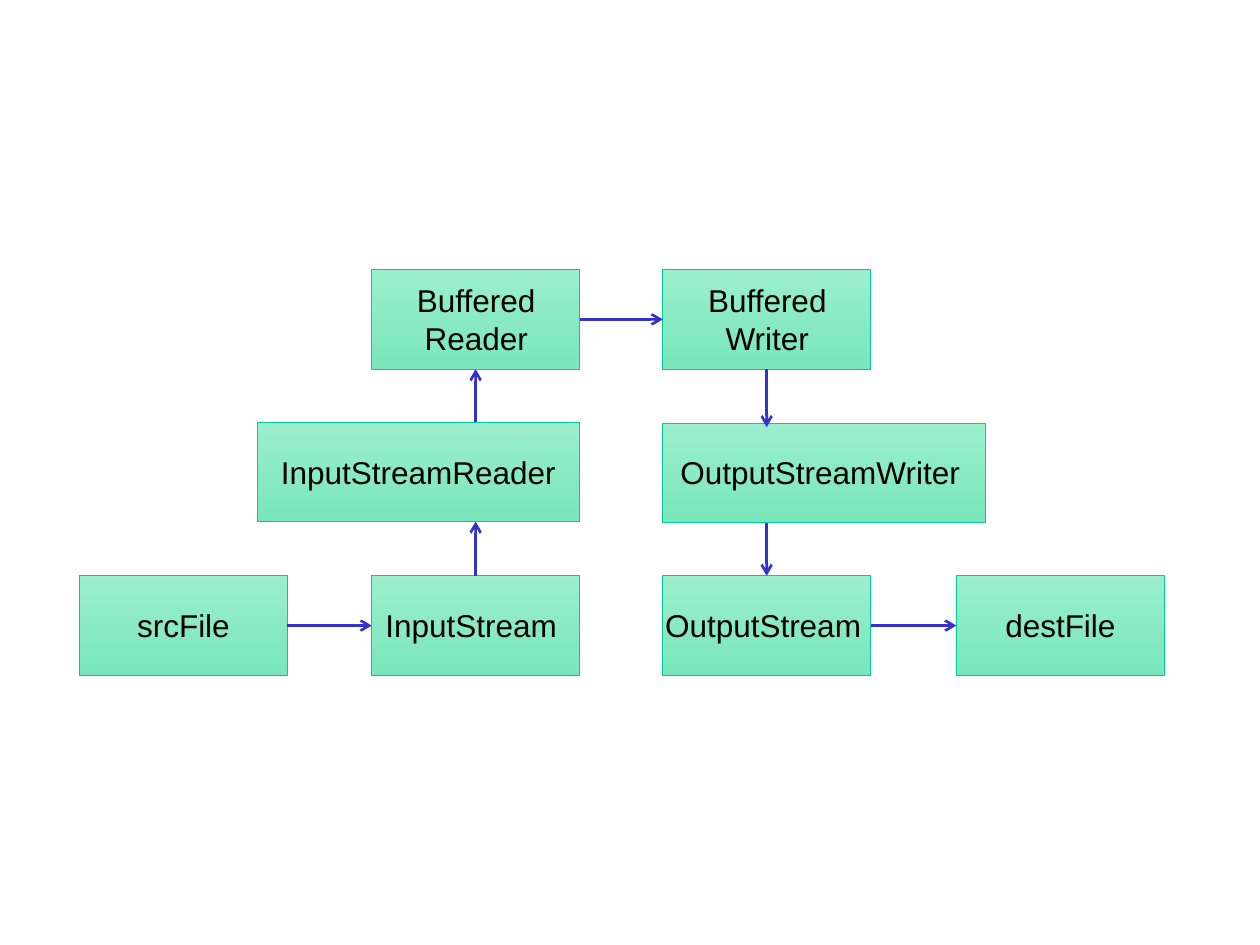
import pptx
import pptx.dml.color
import pptx.enum.shapes
import pptx.enum.text
import pptx.oxml
import pptx.oxml.ns
import pptx.util

Inches = pptx.util.Inches
Pt = pptx.util.Pt
CENTER = pptx.enum.text.PP_ALIGN.CENTER
LEFT = pptx.enum.text.PP_ALIGN.LEFT


def color(hex_string):
    return pptx.dml.color.RGBColor.from_string(hex_string)


class FlowSlide:
    font, size, ink = "Arial", 18, "000000"
    gradient, outline, arrow_color = ("9BEFCC", "79E6BB"), "00CC99", "3333CC"
    box_height = 0.79

    def __init__(self, slide):
        self.slide = slide

    def box(self, left, top, width):
        box = self.slide.shapes.add_shape(
            pptx.enum.shapes.MSO_SHAPE.RECTANGLE,
            Inches(left), Inches(top), Inches(width), Inches(self.box_height))
        box.shadow.inherit = False
        box.fill.gradient()
        box.fill.gradient_angle = 270
        for position, (stop, shade) in enumerate(zip(box.fill.gradient_stops, self.gradient)):
            stop.position = position
            stop.color.rgb = color(shade)
        box.line.color.rgb = color(self.outline)
        box.line.width = Pt(0.5)
        return box

    def label(self, lines, left, top, width, align, wrap):
        height = 0.1 + 0.3 * len(lines)
        label = self.slide.shapes.add_textbox(
            Inches(left), Inches(top), Inches(width), Inches(height))
        frame = label.text_frame
        frame.word_wrap = wrap
        frame.auto_size = pptx.enum.text.MSO_AUTO_SIZE.SHAPE_TO_FIT_TEXT
        for index, line in enumerate(lines):
            paragraph = frame.add_paragraph() if index else frame.paragraphs[0]
            paragraph.alignment = align
            run = paragraph.add_run()
            run.text = line
            run.font.name = self.font
            run.font.size = Pt(self.size)
            run.font.color.rgb = color(self.ink)

    def arrow(self, start, end):
        """Each end is a (box, side) pair to join, or an (x, y) point in inches."""
        arrow = self.slide.shapes.add_connector(
            pptx.enum.shapes.MSO_CONNECTOR.STRAIGHT, 0, 0, 0, 0)
        if isinstance(start[0], float):
            arrow.begin_x, arrow.begin_y = map(Inches, start)
        else:
            arrow.begin_connect(*start)
        if isinstance(end[0], float):
            arrow.end_x, arrow.end_y = map(Inches, end)
        else:
            arrow.end_connect(*end)
        arrow.line.color.rgb = color(self.arrow_color)
        arrow.line.width = Pt(1.5)
        head = pptx.oxml.parse_xml(
            '<a:tailEnd %s type="arrow"/>' % pptx.oxml.ns.nsdecls("a"))
        arrow.line._get_or_add_ln().append(head)
        properties = arrow._element.spPr
        properties.append(pptx.oxml.parse_xml(
            "<a:effectLst %s/>" % pptx.oxml.ns.nsdecls("a")))


def main():
    deck = pptx.Presentation()
    deck.slide_width, deck.slide_height = Inches(10), Inches(7.5)
    flow = FlowSlide(deck.slides.add_slide(deck.slide_layouts[6]))

    # Stages: box left, top, width; label lines, left, top, width, alignment, wrap
    narrow, wide = 1.65, 2.56
    reading, writing = 2.95, 5.26
    stages = [
        (0.63, 4.57, narrow, ["srcFile"], 0.99, 4.76, 0.97, LEFT, False),
        (reading, 4.57, narrow, ["InputStream"], 2.96, 4.76, 1.6, LEFT, False),
        (writing, 4.57, narrow, ["OutputStream"], 5.18, 4.76, 1.79, LEFT, False),
        (7.59, 4.57, narrow, ["destFile"], 7.88, 4.76, 1.11, LEFT, False),
        (reading, 2.14, narrow, ["Buffered", "Reader"], 3.21, 2.18, 1.14, CENTER, False),
        (writing, 2.14, narrow, ["Buffered", "Writer"], 5.52, 2.18, 1.14, CENTER, False),
        (2.04, 3.35, wide, ["InputStreamReader"], 2.04, 3.55, wide, CENTER, True),
        (writing, 3.36, wide, ["OutputStreamWriter"], 5.23, 3.55, wide, CENTER, True),
    ]
    boxes = []
    for left, top, width, *label in stages:
        boxes.append(flow.box(left, top, width))
        flow.label(*label)
    source, input_stream, output_stream, destination, reader, writer = boxes[:6]

    # Data flow: up the reading side, across, down the writing side
    top, left, bottom, right = range(4)
    up, down = reading + narrow / 2, writing + narrow / 2
    flow.arrow((source, right), (input_stream, left))
    flow.arrow((input_stream, top), (up, 4.14))
    flow.arrow((up, 3.35), (reader, bottom))
    flow.arrow((reader, right), (writer, left))
    flow.arrow((writer, bottom), (down, 3.39))
    flow.arrow((down, 4.15), (output_stream, top))
    flow.arrow((output_stream, right), (destination, left))

    deck.save("out.pptx")


if __name__ == "__main__":
    main()
